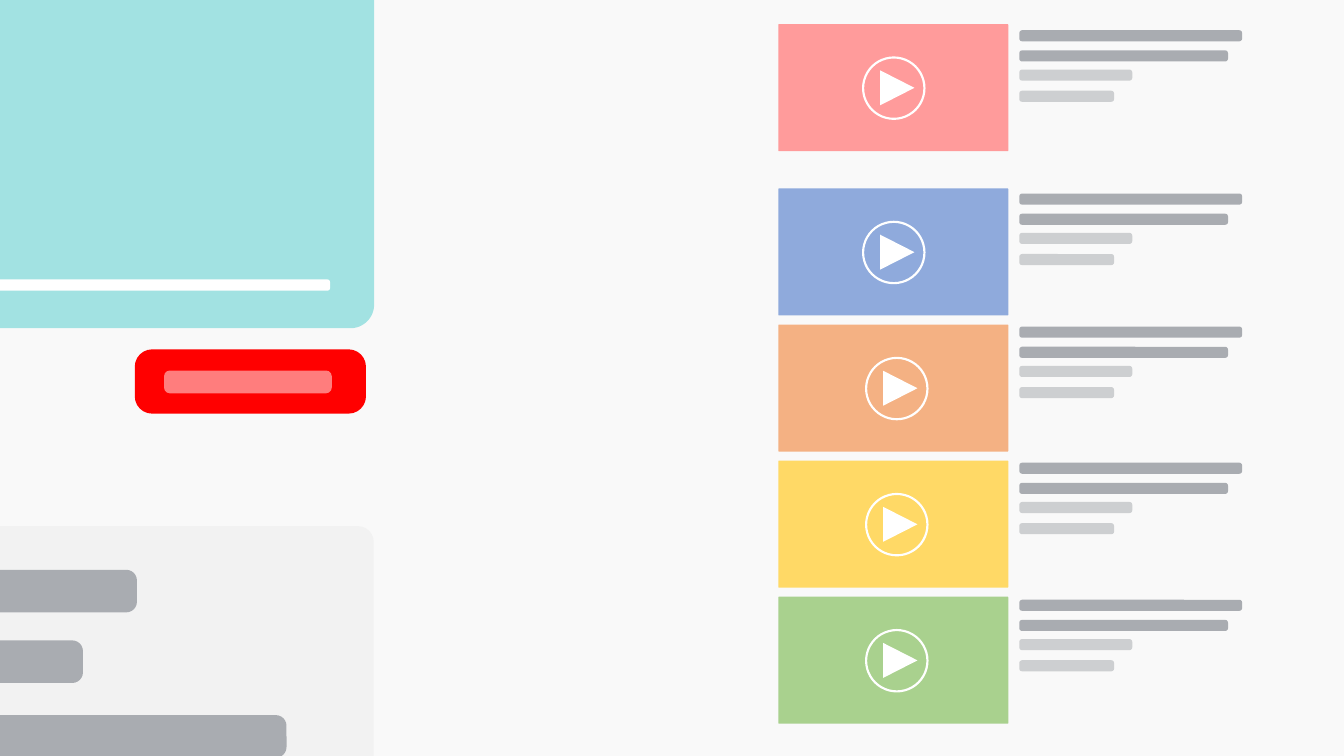
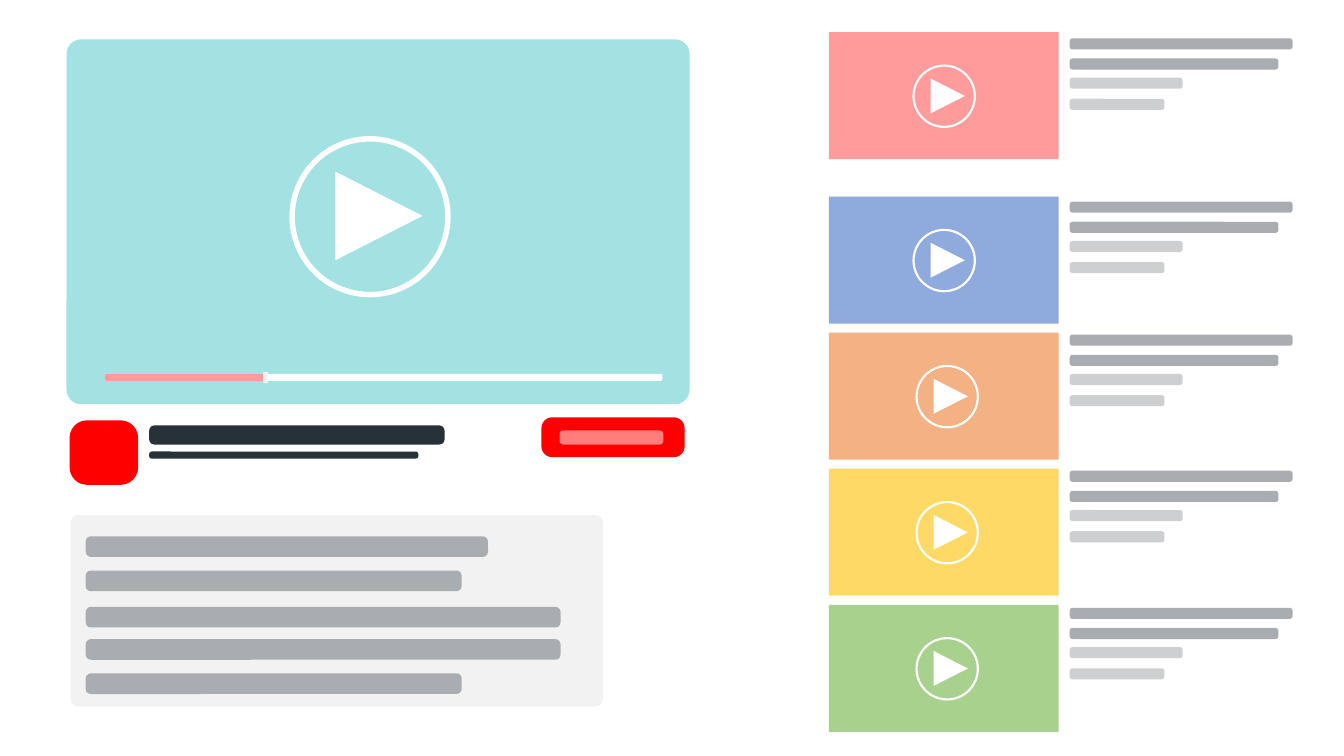
import pptx
import pptx.dml.color
import pptx.enum.shapes
import pptx.oxml
import pptx.oxml.ns
import pptx.util

RGB = pptx.dml.color.RGBColor
SHAPE = pptx.enum.shapes.MSO_SHAPE
Inches = pptx.util.Inches

WHITE = RGB(0xFF, 0xFF, 0xFF)
PAGE = RGB(0xF9, 0xF9, 0xF9)
PALE = RGB(0xF2, 0xF2, 0xF2)
GRAY = RGB(0xA9, 0xAC, 0xB1)
LIGHT = RGB(0xCD, 0xCF, 0xD1)
INK = RGB(0x26, 0x32, 0x38)
RED = RGB(0xFF, 0x00, 0x00)
AQUA = RGB(0xA2, 0xE2, 0xE2)
ROSE = RGB(0xFF, 0x9B, 0x9B)
BLUE = RGB(0x8F, 0xAA, 0xDC)
ORANGE = RGB(0xF4, 0xB1, 0x83)
YELLOW = RGB(0xFF, 0xD9, 0x66)
GREEN = RGB(0xA9, 0xD1, 0x8E)

FIRST_ROW, ROW_STEP = 1.63, 1.35
CARDS = [
    (ROSE, 0, 0.06, 0.83),
    (BLUE, FIRST_ROW, 0.05, 0.83),
    (ORANGE, FIRST_ROW + ROW_STEP, 0.02, 0.86),
    (YELLOW, FIRST_ROW + 2 * ROW_STEP, 0.02, 0.86),
    (GREEN, FIRST_ROW + 3 * ROW_STEP, 0.03, 0.86),
]
CAPTION = [(0, 2.21, GRAY), (0.2, 2.07, GRAY), (0.39, 1.12, LIGHT), (0.6, 0.94, LIGHT)]
DESCRIPTION = [(0.21, 3.99), (0.55, 3.73), (0.91, 4.71), (1.23, 4.71), (1.57, 3.73)]


class Deck:
    def __init__(self):
        self.prs = pptx.Presentation()
        size = {"slide_width": Inches(13.33), "slide_height": Inches(7.5)}
        for key, value in size.items():
            setattr(self.prs, key, value)

    def slide(self, color):
        self.s = self.prs.slides.add_slide(self.prs.slide_layouts[6])
        fill = self.s.background.fill
        fill.solid()
        fill.fore_color.rgb = color

    def group(self):
        self.shapes = self.s.shapes.add_group_shape().shapes

    def shape(self, kind, x, y, w, h, color, adj=None, alpha=None, **fmt):
        sp = self.shapes.add_shape(kind, Inches(x), Inches(y), Inches(w), Inches(h))
        sp.shadow.inherit = False
        sp.fill.solid()
        sp.fill.fore_color.rgb = color
        sp.line.fill.background()
        if adj is not None:
            sp.adjustments[0] = adj
        for key, value in fmt.items():
            setattr(sp, key, value)
        if alpha is not None:
            clr = sp.fill._xPr.find(".//" + pptx.oxml.ns.qn("a:srgbClr"))
            clr.append(pptx.oxml.parse_xml(
                f'<a:alpha {pptx.oxml.ns.nsdecls("a")} val="{alpha * 1000}"/>'))

    def bar(self, x, y, w, h, color, adj=0.25, alpha=None):
        self.shape(SHAPE.ROUNDED_RECTANGLE, x, y, w, h, color, adj, alpha)

    def play(self, x, y, size):
        self.shape(SHAPE.DONUT, x, y, size, size, WHITE, 0.034)
        self.shape(SHAPE.ISOSCELES_TRIANGLE, x + 0.28 * size, y + 0.225 * size,
                   0.55 * size, 0.54 * size, WHITE, rotation=90)

    def card(self, x, y, color, drop, play_x):
        self.group()
        self.bar(x, y, 2.28, 1.26, color, 0.005)
        for dy, w, shade in CAPTION:
            self.bar(x + 2.39, y + drop + dy, w, 0.11, shade)
        self.play(x + play_x, y + 0.32, 0.63)

    def playlist(self, x, y):
        for color, dy, drop, play_x in CARDS:
            self.card(x, y + dy, color, drop, play_x)

    def description(self, x, y, rows, zoom=1):
        self.group()
        self.bar(x, y, 5.28 * zoom, 1.9 * zoom, PALE, 0.04)
        for dy, w in DESCRIPTION[:rows]:
            self.bar(x + 0.15 * zoom, y + dy * zoom, w * zoom, 0.205 * zoom, GRAY)

    def player(self, x, y, zoom=1):
        self.group()
        parts = [
            (0, 0, 6.18, 3.62, AQUA, 0.04, None),
            (4.71, 3.75, 1.42, 0.395, RED, 0.27, None),
            (4.89, 3.88, 1.03, 0.14, WHITE, 0.25, 49),
            (0.38, 3.32, 5.53, 0.07, WHITE, 0.27, None),
        ]
        for dx, dy, w, h, color, adj, alpha in parts:
            self.bar(x + dx * zoom, y + dy * zoom, w * zoom, h * zoom, color, adj, alpha)

    def channel(self, x, y):
        self.bar(x, y, 0.68, 0.64, RED, 0.27)
        self.bar(x + 0.79, y + 0.05, 2.93, 0.19, INK, 0.27)
        self.bar(x + 0.79, y + 0.31, 2.67, 0.07, INK, 0.37)

    def progress(self, x, y):
        self.bar(x, y, 1.6, 0.07, ROSE, 0.27)
        self.bar(x + 1.57, y - 0.02, 0.05, 0.11, PALE, 0.27)


def main():
    deck = Deck()
    deck.slide(PAGE)
    deck.description(-7.17, 5.22, 3, 2.06)
    deck.playlist(7.72, 0.24)
    deck.player(-6.27, -2.59, 1.615)

    deck.slide(WHITE)
    deck.description(0.7, 5.11, 5)
    deck.playlist(8.22, 0.32)
    deck.player(0.66, 0.39)
    deck.play(2.87, 1.35, 1.6)
    deck.channel(0.69, 4.17)
    deck.progress(1.04, 3.71)
    deck.prs.save("out.pptx")


if __name__ == "__main__":
    main()
